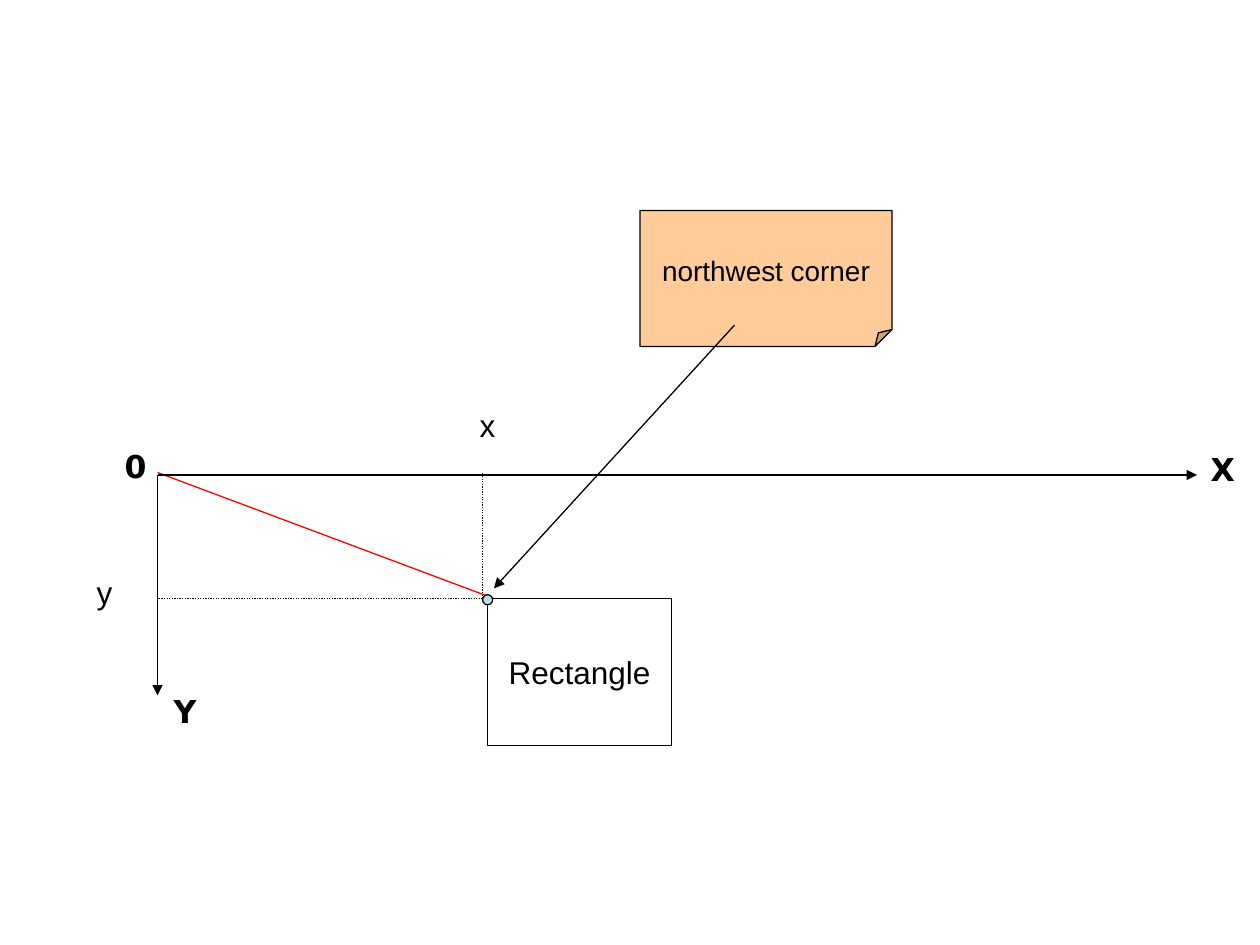
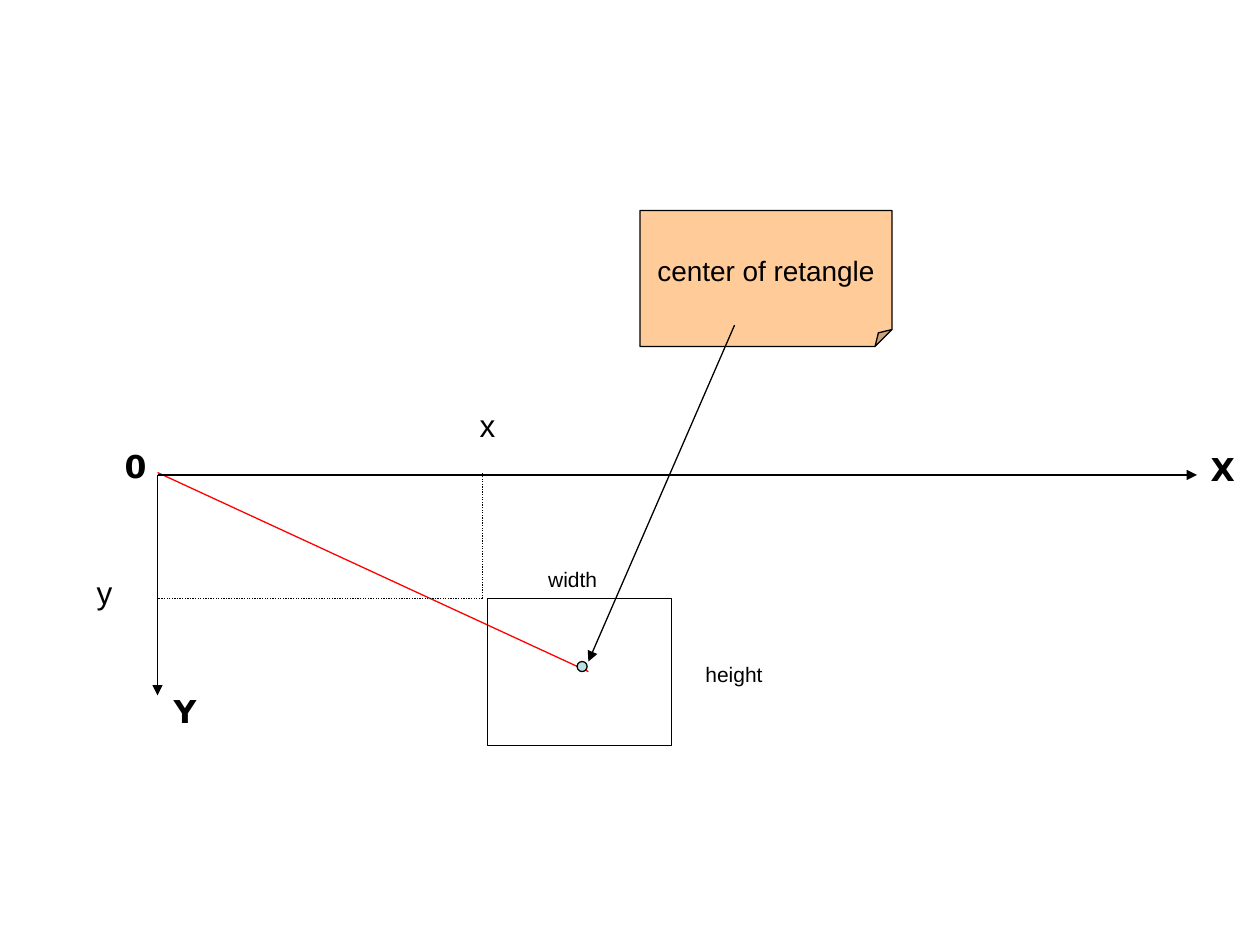
import dataclasses
import typing

import lxml.etree
import pptx
import pptx.dml.color
import pptx.enum.dml
import pptx.enum.shapes
import pptx.enum.text
import pptx.oxml.ns
import pptx.util

PX = 9144  # 100 px to the inch
SHAPES = pptx.enum.shapes.MSO_SHAPE
ALIGN = pptx.enum.text.PP_ALIGN


@dataclasses.dataclass(frozen=True)
class Theme:
    ink: str = "000000"
    vector: str = "FF0000"
    marker: str = "BBE0E3"
    note: str = "FFCC99"
    body_font: str = "Arial"
    axis_font: str = "DejaVu Sans"
    label_size: int = 18
    note_size: int = 16
    small_size: int = 12
    line_width: float = 0.75


THEME = Theme()


class Point(typing.NamedTuple):
    x: int
    y: int


class Box(typing.NamedTuple):
    left: int
    top: int
    width: int
    height: int


class Label(typing.NamedTuple):
    text: str
    box: Box
    style: dict[str, typing.Any]


class Line(typing.NamedTuple):
    start: Point
    end: Point
    color: str = THEME.ink
    arrow: bool = False
    dotted: bool = False


@dataclasses.dataclass(frozen=True)
class Diagram:
    note: str
    target: Point
    pointer_end: Point
    marker: Point
    rectangle_text: str = ""
    dimensions: tuple[Label, ...] = ()


SLIDE = Point(1000, 750)
AXIS_ORIGIN = Point(125, 377)
VECTOR_START = Point(125, 375)
CORNER = Point(383, 475)
RECTANGLE = Box(387, CORNER.y, 146, 117)
NOTE = Box(508, 167, 200, 108)
POINTER_START = Point(583, 258)
MARKER_SIZE = 8

AXIS_STYLE = dict(font=THEME.axis_font, bold=True, wrap=False)
COORDINATE_STYLE = dict(align=ALIGN.CENTER)

COORDINATE_LABELS = (
    Label("X", Box(951, 352, 36, 40), AXIS_STYLE),
    Label("Y", Box(128, 544, 35, 40), AXIS_STYLE),
    Label("0", Box(89, 350, 34, 40), AXIS_STYLE),
    Label("x", Box(358, 317, 58, 40), COORDINATE_STYLE),
    Label("y", Box(58, 450, 50, 40), COORDINATE_STYLE),
)
COORDINATE_LINES = (
    Line(AXIS_ORIGIN, Point(AXIS_ORIGIN.x, 552), arrow=True),
    Line(AXIS_ORIGIN, Point(950, AXIS_ORIGIN.y), arrow=True),
    Line(CORNER, Point(AXIS_ORIGIN.x, CORNER.y), dotted=True),
    Line(CORNER, Point(CORNER.x, VECTOR_START.y), dotted=True),
)

DIAGRAMS = (
    Diagram(
        note="northwest corner",
        target=Point(392, 475),
        pointer_end=Point(392, 467),
        marker=Point(383, 472),
        rectangle_text="Rectangle",
    ),
    Diagram(
        note="center of retangle",
        target=Point(467, 533),
        pointer_end=Point(467, 525),
        marker=Point(458, 525),
        dimensions=(
            Label("width", Box(392, 445, 125, 30),
                  dict(size=THEME.small_size, align=ALIGN.CENTER)),
            Label("height", Box(550, 520, 92, 30), dict(size=THEME.small_size)),
        ),
    ),
)


def rgb(color: str) -> pptx.dml.color.RGBColor:
    return pptx.dml.color.RGBColor.from_string(color)


def emu(lengths: typing.Iterable[int]) -> list[int]:
    return [length * PX for length in lengths]


def set_line(line: typing.Any, color: str) -> None:
    line.color.rgb = rgb(color)
    line.width = pptx.util.Pt(THEME.line_width)


def write(frame: typing.Any, text: str, *, size: int = THEME.label_size,
          font: str = THEME.body_font, bold: bool = False, wrap: bool = True,
          align: typing.Any = ALIGN.LEFT) -> None:
    frame.word_wrap = wrap
    paragraph = frame.paragraphs[0]
    paragraph.alignment = align
    run = paragraph.add_run()
    run.text = text
    run.font.size = pptx.util.Pt(size)
    run.font.name = font
    run.font.bold = bold
    run.font.color.rgb = rgb(THEME.ink)


def draw_label(slide: typing.Any, label: Label) -> None:
    frame = slide.shapes.add_textbox(*emu(label.box)).text_frame
    write(frame, label.text, **label.style)
    frame.auto_size = pptx.enum.text.MSO_AUTO_SIZE.SHAPE_TO_FIT_TEXT


def draw_line(slide: typing.Any, line: Line) -> None:
    connector = slide.shapes.add_connector(
        pptx.enum.shapes.MSO_CONNECTOR.STRAIGHT, *emu(line.start + line.end))
    set_line(connector.line, line.color)
    if line.dotted:
        connector.line.dash_style = pptx.enum.dml.MSO_LINE.ROUND_DOT
    properties = connector._element.spPr
    if line.arrow:
        outline = properties.find(pptx.oxml.ns.qn("a:ln"))
        lxml.etree.SubElement(outline, pptx.oxml.ns.qn("a:tailEnd"), type="triangle")
    lxml.etree.SubElement(properties, pptx.oxml.ns.qn("a:effectLst"))


def set_fold(shape: typing.Any, share: float) -> None:
    """Size the folded corner, which python-pptx lists no adjustment for."""
    geometry = shape._element.spPr.find(pptx.oxml.ns.qn("a:prstGeom"))
    guides = geometry.find(pptx.oxml.ns.qn("a:avLst"))
    lxml.etree.SubElement(guides, pptx.oxml.ns.qn("a:gd"), name="adj",
                          fmla=f"val {round(share * 100000)}")


def draw_shape(slide: typing.Any, kind: typing.Any, box: Box, fill: str = "",
               text: str = "", size: int = THEME.label_size) -> None:
    shape = slide.shapes.add_shape(kind, *emu(box))
    shape.shadow.inherit = False
    set_line(shape.line, THEME.ink)
    if fill:
        shape.fill.solid()
        shape.fill.fore_color.rgb = rgb(fill)
    else:
        shape.fill.background()
    if kind == SHAPES.FOLDED_CORNER:
        set_fold(shape, 1 / 8)
    if text:
        shape.text_frame.vertical_anchor = pptx.enum.text.MSO_ANCHOR.MIDDLE
        write(shape.text_frame, text, size=size, wrap=False, align=ALIGN.CENTER)


def draw_diagram(slide: typing.Any, diagram: Diagram) -> None:
    draw_line(slide, Line(VECTOR_START, diagram.target, THEME.vector))
    for line in COORDINATE_LINES:
        draw_line(slide, line)
    draw_shape(slide, SHAPES.RECTANGLE, RECTANGLE, text=diagram.rectangle_text)
    draw_shape(slide, SHAPES.FOLDED_CORNER, NOTE, THEME.note, diagram.note,
               THEME.note_size)
    draw_line(slide, Line(POINTER_START, diagram.pointer_end, arrow=True))
    draw_shape(slide, SHAPES.OVAL, Box(*diagram.marker, MARKER_SIZE, MARKER_SIZE),
               THEME.marker)
    for label in COORDINATE_LABELS + diagram.dimensions:
        draw_label(slide, label)


def main() -> None:
    deck = pptx.Presentation()
    deck.slide_width, deck.slide_height = emu(SLIDE)
    blank = deck.slide_layouts[6]
    for diagram in DIAGRAMS:
        draw_diagram(deck.slides.add_slide(blank), diagram)
    deck.save("out.pptx")


if __name__ == "__main__":
    main()
